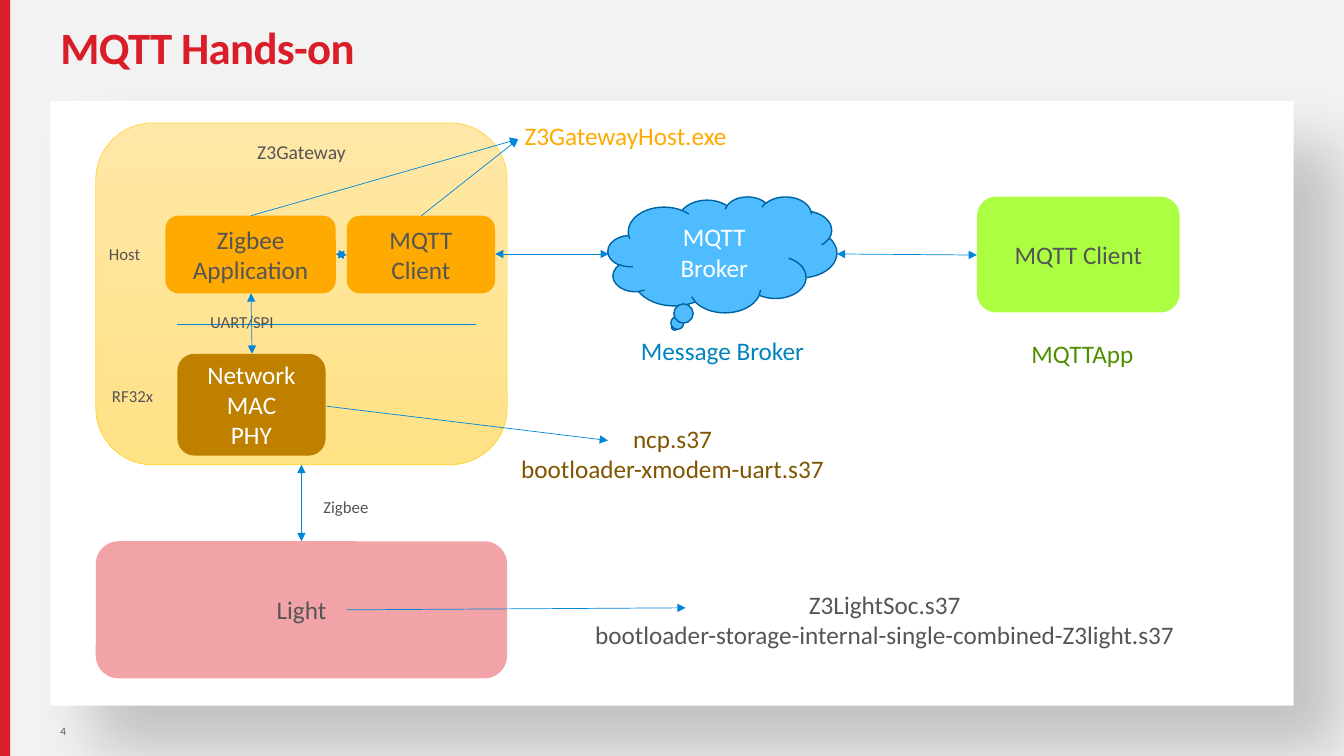
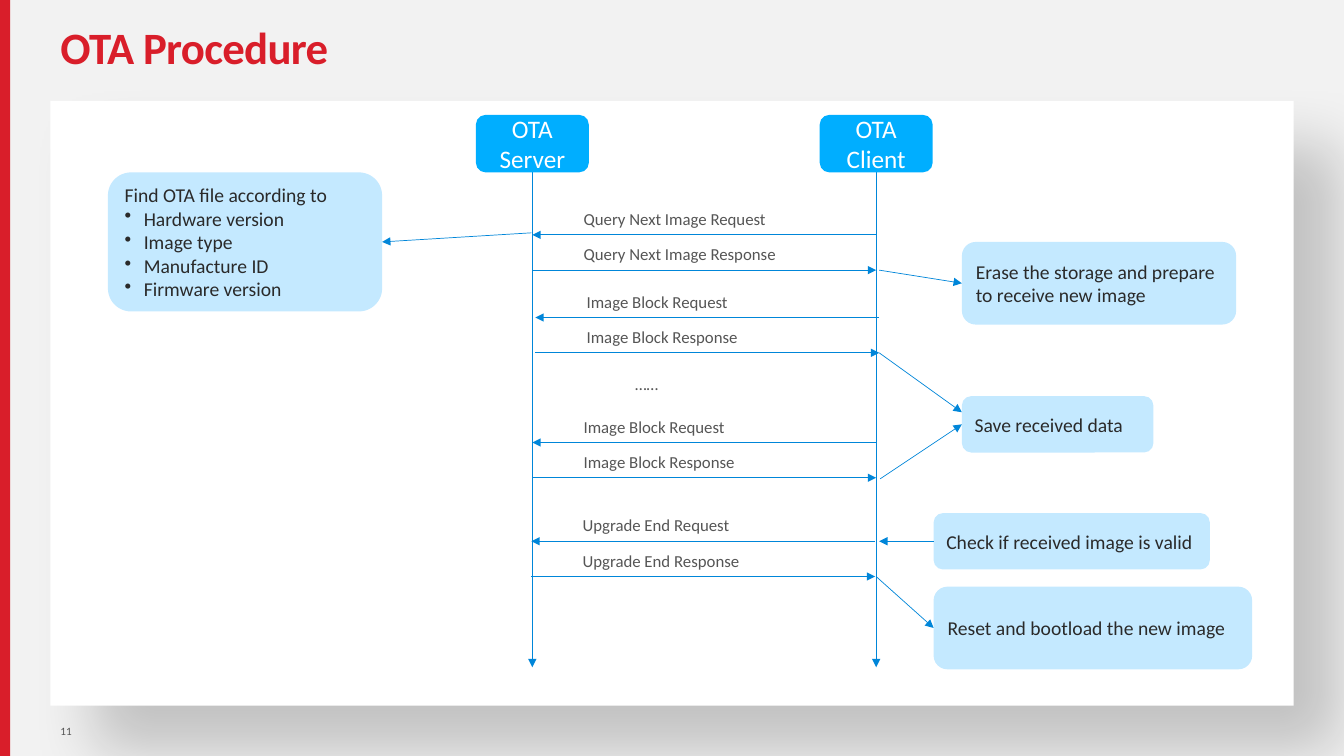
"""Build two slides: an MQTT set-up diagram and an OTA message sequence."""
import lxml.etree
import pptx
import pptx.dml.color
import pptx.enum.shapes
import pptx.enum.text
import pptx.oxml
import pptx.oxml.ns
import pptx.util

Inches = pptx.util.Inches
Pt = pptx.util.Pt
RGB = pptx.dml.color.RGBColor
Kind = pptx.enum.shapes.MSO_SHAPE
Align = pptx.enum.text.PP_ALIGN
Anchor = pptx.enum.text.MSO_ANCHOR
qn = pptx.oxml.ns.qn

RED = RGB(0xD9, 0x1E, 0x2A)
PINK = RGB(0xF2, 0xA3, 0xA8)
PALE = RGB(0xF2, 0xF2, 0xF2)
WHITE = RGB(0xFF, 0xFF, 0xFF)
GREY = RGB(0x55, 0x55, 0x55)
DARK = RGB(0x2A, 0x2A, 0x2A)
BLUE = RGB(0x00, 0x86, 0xD9)
NAVY = RGB(0x00, 0x63, 0xA1)
TEAL = RGB(0x00, 0x83, 0xBF)
SKY = RGB(0x4F, 0xBC, 0xFF)
AZURE = RGB(0x00, 0xAE, 0xFF)
ICE = RGB(0xC4, 0xE9, 0xFF)
ORANGE = RGB(0xFF, 0xAA, 0x00)
BROWN = RGB(0xBF, 0x80, 0x00)
UMBER = RGB(0x80, 0x55, 0x00)
LIME = RGB(0xAB, 0xFE, 0x41)
GREEN = RGB(0x50, 0x8F, 0x01)
GOLD = RGB(0xFF, 0xD6, 0x33)
CREAM = RGB(0xFF, 0xE8, 0xA7)
SAND = RGB(0xFF, 0xE1, 0x86)

ROUND = Kind.ROUNDED_RECTANGLE


def box(slide, at, text="", size=18, ink=GREY, fill=None, kind=ROUND, align=Align.CENTER):
    """Add a filled shape, or a plain text box when there is no fill."""
    place = [Inches(v) for v in at]
    if fill is None:
        shape = slide.shapes.add_textbox(*place)
    else:
        shape = slide.shapes.add_shape(kind, *place)
        shape.shadow.inherit = False
        shape.fill.solid()
        shape.fill.fore_color.rgb = fill
        shape.line.fill.background()
    frame = shape.text_frame
    frame.word_wrap = True
    frame.vertical_anchor = Anchor.MIDDLE
    frame.text = text
    for para in frame.paragraphs:
        para.alignment = align
        for key, val in {"name": "Calibri", "size": Pt(size)}.items():
            setattr(para.font, key, val)
        para.font.color.rgb = ink
    return shape


def link(slide, start, end, heads=("tailEnd",)):
    """Add a thin straight line with the given arrowheads."""
    line = slide.shapes.add_connector(
        pptx.enum.shapes.MSO_CONNECTOR.STRAIGHT, *[Inches(v) for v in start + end])
    line.line.color.rgb = BLUE
    line.line.width = Pt(0.5)
    props = line.element.spPr
    stroke = props.find(qn("a:ln"))
    for head in heads:
        lxml.etree.SubElement(stroke, qn("a:" + head), type="triangle")
    lxml.etree.SubElement(props, qn("a:effectLst"))


deck = pptx.Presentation()
deck.slide_width = Inches(13.33)
deck.slide_height = Inches(7.5)
master = deck.slide_master
master.background.fill.solid()
master.background.fill.fore_color.rgb = PALE

pages = []
for name, number in (("MQTT Hands-on", "4"), ("OTA Procedure", "11")):
    page = deck.slides.add_slide(deck.slide_layouts[5])
    title = page.shapes.title
    spot = {"left": 0.5, "top": 0, "width": 12.33, "height": 1}
    for key, val in spot.items():
        setattr(title, key, Inches(val))
    title.text_frame.text = name
    title.text_frame.vertical_anchor = Anchor.MIDDLE
    para = title.text_frame.paragraphs[0]
    for key, val in {"alignment": Align.LEFT, "line_spacing": 0.9}.items():
        setattr(para, key, val)
    run = para.runs[0]
    for key, val in {"name": "Calibri", "size": Pt(32), "bold": True}.items():
        setattr(run.font, key, val)
    run.font.color.rgb = RED
    run.font._element.set("spc", "-50")
    foot = box(page, (0.5, 7, 0.35, 0.5), number, 8, align=Align.LEFT)
    foot.text_frame.margin_right = 0
    pages.append(page)
mqtt, ota = pages

band = box(mqtt, (0, 0, 0.1, 7.5), fill=RED, kind=Kind.RECTANGLE)
panel = box(mqtt, (0.5, 1, 12.33, 6), fill=WHITE, kind=Kind.RECTANGLE)
glow = panel.element.spPr.find(qn("a:effectLst"))
shade = lxml.etree.SubElement(
    glow, qn("a:outerShdw"), blurRad=str(Pt(45)), dist=str(Pt(45)),
    dir="2700000", algn="tl", rotWithShape="0")
tint = lxml.etree.SubElement(shade, qn("a:srgbClr"), val="000000")
lxml.etree.SubElement(tint, qn("a:alpha"), val="20000")
for spot, shape in enumerate((band, panel), 2):
    master.shapes.element.insert(spot, shape.element)

gate = box(mqtt, (0.95, 1.22, 4.08, 3.39), "Z3Gateway", 14, fill=CREAM)
gate.fill.gradient()
gate.fill.gradient_angle = 270
for stop, hue in zip(gate.fill.gradient_stops, (CREAM, SAND)):
    stop.color.rgb = hue
gate.line.color.rgb = GOLD
gate.line.width = Pt(0.5)
gate.text_frame.vertical_anchor = Anchor.TOP
gate.text_frame.margin_top = 0
link(mqtt, (1.76, 3.22), (4.72, 3.22), ())

for at, text, ink, fill in (
    ((1.76, 3.51, 1.47, 1.01), "Network\nMAC\nPHY", WHITE, BROWN),
    ((1.64, 2.14, 1.69, 0.77), "Zigbee Application", GREY, ORANGE),
    ((3.44, 2.14, 1.47, 0.77), "MQTT\nClient", GREY, ORANGE),
    ((0.95, 5.37, 4.08, 1.36), "Light", GREY, PINK),
    ((9.69, 1.95, 2.01, 1.15), "MQTT Client", GREY, LIME),
    ((6.12, 3.28, 2.09, 0.4), "Message Broker", TEAL, None),
    ((9.69, 3.31, 2.09, 0.4), "MQTTApp", GREEN, None),
    ((4.72, 1.14, 2.97, 0.4), "Z3GatewayHost.exe", ORANGE, None),
    ((4.72, 4.14, 3.9, 0.71), "ncp.s37\nbootloader-xmodem-uart.s37", UMBER, None),
    ((5.47, 5.79, 6.61, 0.71),
     "Z3LightSoc.s37\nbootloader-storage-internal-single-combined-Z3light.s37", GREY, None),
):
    box(mqtt, at, text, 18, ink, fill)

for at, text in (
    ((0.83, 2.37, 0.81, 0.3), "Host"),
    ((0.91, 3.78, 0.81, 0.3), "RF32x"),
    ((1.96, 3.04, 0.88, 0.3), "UART/SPI"),
    ((2.99, 4.88, 0.88, 0.3), "Zigbee"),
):
    box(mqtt, at, text, 12)

cloud = box(mqtt, (6.03, 1.95, 2.27, 1.15), "MQTT\nBroker", 18, WHITE, SKY, Kind.CLOUD_CALLOUT)
cloud.line.color.rgb = NAVY
cloud.line.width = Pt(1)

for start, end in (
    ((2.49, 2.91), (2.5, 3.51)),
    ((4.91, 2.52), (6.04, 2.52)),
    ((2.99, 4.61), (2.99, 5.37)),
    ((3.33, 2.52), (3.44, 2.53)),
    ((8.3, 2.52), (9.69, 2.53)),
):
    link(mqtt, start, end, ("headEnd", "tailEnd"))

for start, end in (
    ((2.49, 2.14), (5.14, 1.38)),
    ((4.18, 2.14), (5.14, 1.38)),
    ((3.44, 6.05), (6.8, 6.03)),
    ((3.24, 4.03), (6.03, 4.37)),
):
    link(mqtt, start, end)

LEFT, RIGHT = 5.28, 8.69
for x, text in ((LEFT, "OTA Server"), (RIGHT, "OTA Client")):
    link(ota, (x, 1.71), (x, 6.62))
    box(ota, (x - 0.56, 1.14, 1.12, 0.57), text, 18, WHITE, AZURE)

for name, top, shift in (
    ("Query Next Image", 2.33, 0),
    ("Image Block", 3.15, 0.03),
    ("Image Block", 4.39, 0),
    ("Upgrade End", 5.37, -0.01),
):
    for part, y in (("Request", top), ("Response", top + 0.35)):
        ends = [(LEFT + shift, y), (RIGHT + shift, y)]
        if part == "Request":
            ends.reverse()
        link(ota, *ends)
        box(ota, (LEFT + 0.41 + shift, y - 0.31, 2.77, 0.3), f"{name} {part}", 12,
            align=Align.LEFT)
box(ota, (6.2, 3.66, 0.87, 0.3), "……", 12, align=Align.LEFT)

notes = [
    box(ota, at, text, 14, DARK, ICE, align=Align.LEFT)
    for at, text in (
        ((1.07, 1.71, 2.72, 1.38), "Find OTA file according to\nHardware version\n"
                                   "Image type\nManufacture ID\nFirmware version"),
        ((9.54, 2.4, 2.72, 0.82), "Erase the storage and prepare to receive new image"),
        ((9.54, 3.93, 1.9, 0.56), "Save received data"),
        ((9.26, 5.09, 2.74, 0.56), "Check if received image is valid"),
        ((9.26, 5.82, 3.16, 0.82), "Reset and bootload the new image"),
    )
]
for para in notes[0].text_frame.paragraphs[1:]:
    props = para._p.get_or_add_pPr()
    for key, val in {"marL": 0.19, "indent": -0.19}.items():
        props.set(key, str(Inches(val)))
    mark = pptx.oxml.parse_xml(
        f'<a:buChar {pptx.oxml.ns.nsdecls("a")} char="•"/>')
    props.insert_element_before(mark, "a:tabLst", "a:defRPr", "a:extLst")

for start, end in (
    ((5.27, 2.31), (3.79, 2.4)),
    ((8.72, 2.68), (9.54, 2.81)),
    ((8.72, 3.5), (9.54, 4.09)),
    ((8.73, 4.75), (9.54, 4.21)),
    ((9.26, 5.37), (8.72, 5.37)),
    ((8.69, 5.72), (9.26, 6.23)),
):
    link(ota, start, end)

deck.save("out.pptx")
